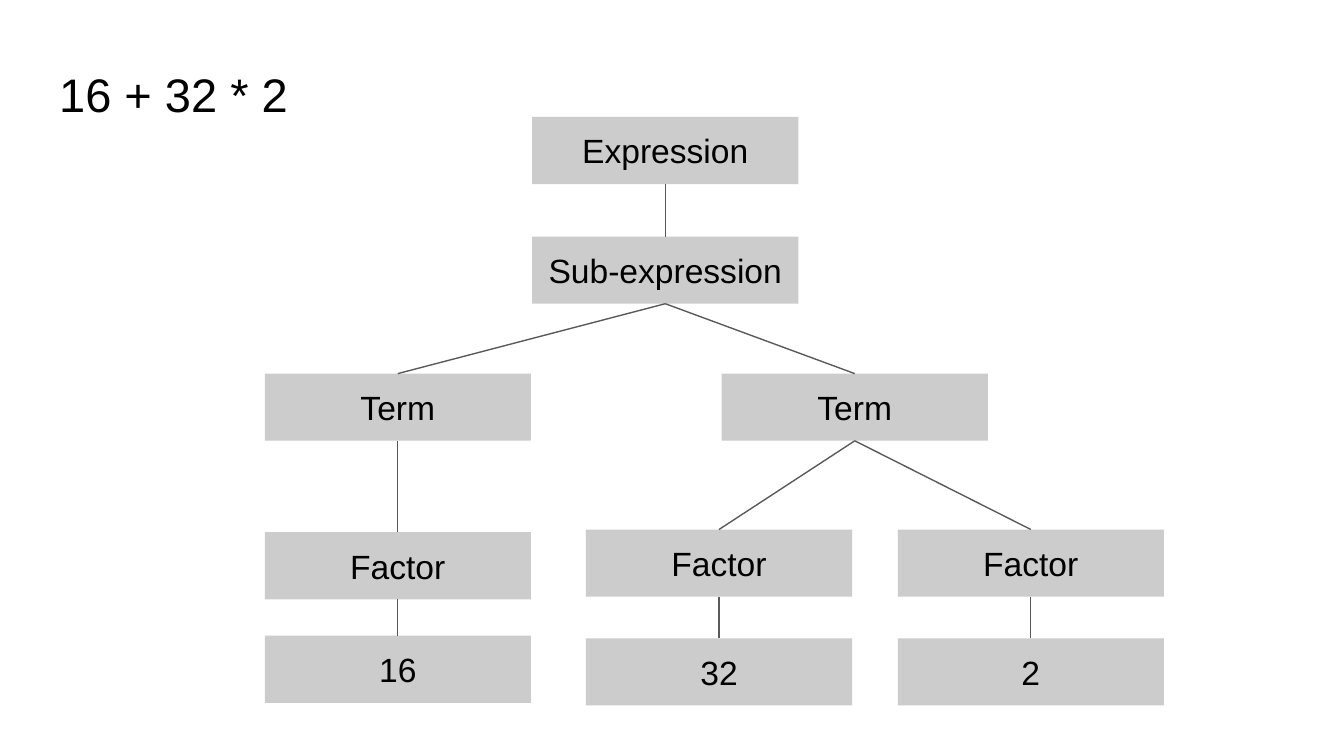
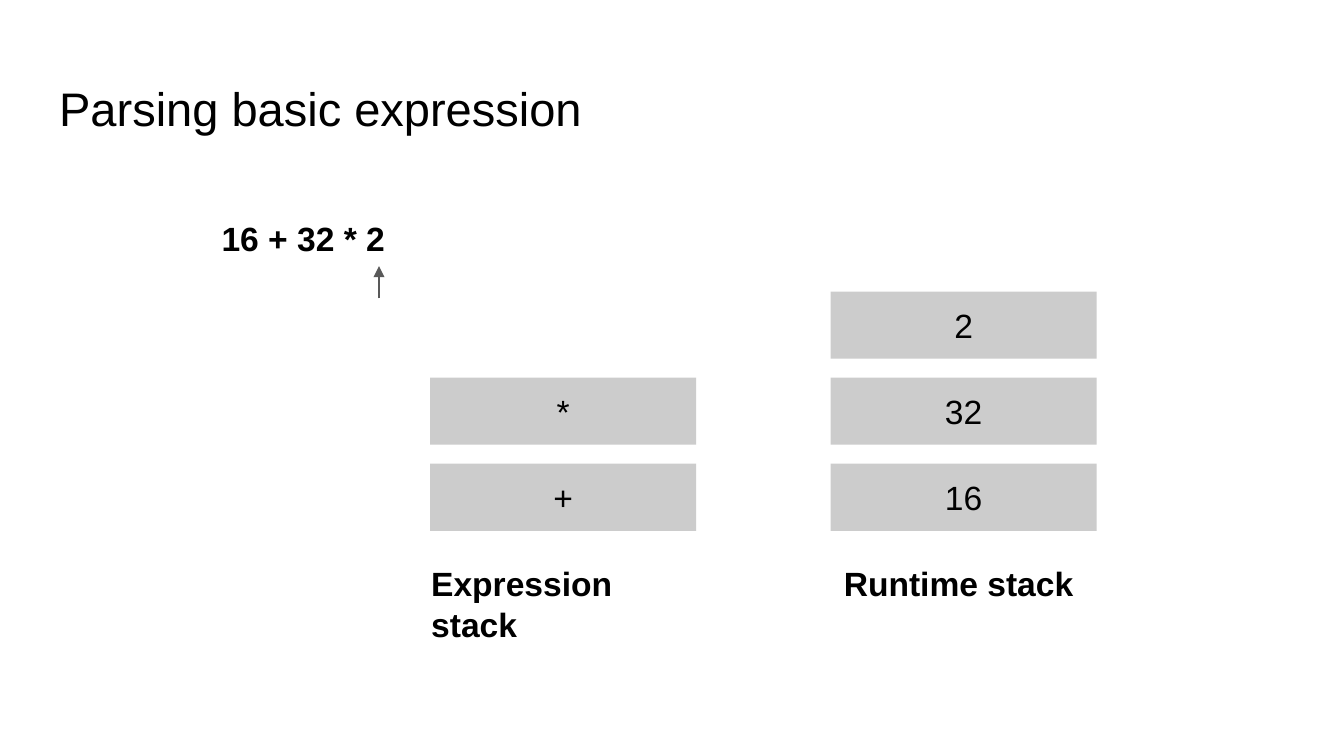
from dataclasses import dataclass
from typing import Optional

from lxml import etree
from pptx import Presentation
from pptx.dml.color import RGBColor
from pptx.enum.shapes import MSO_CONNECTOR, MSO_SHAPE
from pptx.enum.text import MSO_ANCHOR, MSO_AUTO_SIZE, PP_ALIGN
from pptx.oxml.ns import qn
from pptx.util import Inches, Pt

RECTANGLE = MSO_SHAPE.RECTANGLE
STRAIGHT = MSO_CONNECTOR.STRAIGHT
LEFT, CENTER = PP_ALIGN.LEFT, PP_ALIGN.CENTER
TOP, MIDDLE, BOTTOM = MSO_ANCHOR.TOP, MSO_ANCHOR.MIDDLE, MSO_ANCHOR.BOTTOM
NO_FIT, GROW = MSO_AUTO_SIZE.NONE, MSO_AUTO_SIZE.SHAPE_TO_FIT_TEXT

COLORS = {"background": "FFFFFF", "text": "000000", "box": "CCCCCC", "line": "595959"}
FONT = "Arial"
SLIDE_WIDTH = Inches(10)
SLIDE_HEIGHT = SLIDE_WIDTH * 9 // 16
TITLE_ONLY = 5
TOP_SIDE, BOTTOM_SIDE = 0, 2
BOX_WIDTH, BOX_HEIGHT = 1.98, 0.5
STACK_BOTTOM, STACK_PITCH = 3.45, 0.64
LABEL_TOP = 4.09


@dataclass(frozen=True)
class Node:
    label: str
    left: float
    top: float
    parent: Optional[int] = None


@dataclass(frozen=True)
class Stack:
    label: str
    left: float
    label_left: float
    label_width: float
    label_height: float
    items: tuple[str, ...]


NODES = (
    Node("Expression", 3.96, 0.87),
    Node("Sub-expression", 3.96, 1.76, 0),
    Node("Term", 1.97, 2.78, 1),
    Node("Term", 5.37, 2.78, 1),
    Node("Factor", 1.97, 3.96, 2),
    Node("Factor", 4.36, 3.94, 3),
    Node("Factor", 6.68, 3.94, 3),
    Node("16", 1.97, 4.73, 4),
    Node("32", 4.36, 4.75, 5),
    Node("2", 6.68, 4.75, 6),
)

STACKS = (
    Stack("Expression stack", 3.2, 3.11, 2.18, 0.81, ("+", "*")),
    Stack("Runtime stack", 6.18, 6.18, 1.98, 0.5, ("16", "32", "2")),
)


def color(name: str) -> RGBColor:
    return RGBColor.from_string(COLORS[name])


def write_text(shape, text: str, *, size: float = 18, bold: bool = False,
               alignment=LEFT, anchor=TOP, fit=GROW) -> None:
    frame = shape.text_frame
    frame.word_wrap = True
    frame.auto_size = fit
    frame.vertical_anchor = anchor
    frame.margin_left = frame.margin_right = Inches(0.1)
    frame.margin_top = frame.margin_bottom = Inches(0.1)
    paragraph = frame.paragraphs[0]
    paragraph.alignment = alignment
    run = paragraph.add_run()
    run.text = text
    run.font.name = FONT
    run.font.size = Pt(size)
    run.font.bold = bold
    run.font.color.rgb = color("text")


def add_titled_slide(presentation, text: str, top: float, anchor):
    slide = presentation.slides.add_slide(presentation.slide_layouts[TITLE_ONLY])
    slide.background.fill.solid()
    slide.background.fill.fore_color.rgb = color("background")
    title = slide.shapes.title
    title.left, title.top = Inches(0.34), Inches(top)
    title.width, title.height = Inches(9.32), Inches(0.63)
    write_text(title, text, size=25.2, anchor=anchor, fit=NO_FIT)
    return slide


def add_box(slide, text: str, left: float, top: float):
    box = slide.shapes.add_shape(
        RECTANGLE, Inches(left), Inches(top), Inches(BOX_WIDTH), Inches(BOX_HEIGHT))
    box.shadow.inherit = False
    box.fill.solid()
    box.fill.fore_color.rgb = color("box")
    box.line.fill.background()
    write_text(box, text, alignment=CENTER, anchor=MIDDLE)
    return box


def add_label(slide, text: str, left: float, top: float, width: float, height: float) -> None:
    label = slide.shapes.add_textbox(Inches(left), Inches(top), Inches(width), Inches(height))
    write_text(label, text, bold=True)


def add_line(slide, start: tuple[float, float] = (0, 0), end: tuple[float, float] = (0, 0),
             arrow: bool = False):
    line = slide.shapes.add_connector(STRAIGHT, *map(Inches, start + end))
    line.line.color.rgb = color("line")
    line.line.width = Pt(0.75)
    properties = line.element.spPr
    if arrow:
        etree.SubElement(properties.find(qn("a:ln")), qn("a:tailEnd"), type="triangle")
    etree.SubElement(properties, qn("a:effectLst"))
    return line


def build_tree_slide(presentation) -> None:
    slide = add_titled_slide(presentation, "16 + 32 * 2", 0.38, BOTTOM)
    boxes = [add_box(slide, node.label, node.left, node.top) for node in NODES]
    for node, box in zip(NODES, boxes):
        if node.parent is not None:
            branch = add_line(slide)
            branch.begin_connect(boxes[node.parent], BOTTOM_SIDE)
            branch.end_connect(box, TOP_SIDE)


def build_stack_slide(presentation) -> None:
    slide = add_titled_slide(presentation, "Parsing basic expression", 0.49, MIDDLE)
    add_label(slide, "16 + 32 * 2", 1.55, 1.52, 1.72, 0.5)
    add_line(slide, (2.82, 2.22), (2.82, 1.98), arrow=True)
    for stack in STACKS:
        for level, item in enumerate(stack.items):
            add_box(slide, item, stack.left, STACK_BOTTOM - level * STACK_PITCH)
        add_label(slide, stack.label, stack.label_left, LABEL_TOP,
                  stack.label_width, stack.label_height)


def main() -> None:
    presentation = Presentation()
    presentation.slide_width = SLIDE_WIDTH
    presentation.slide_height = SLIDE_HEIGHT
    build_tree_slide(presentation)
    build_stack_slide(presentation)
    presentation.save("out.pptx")


if __name__ == "__main__":
    main()
